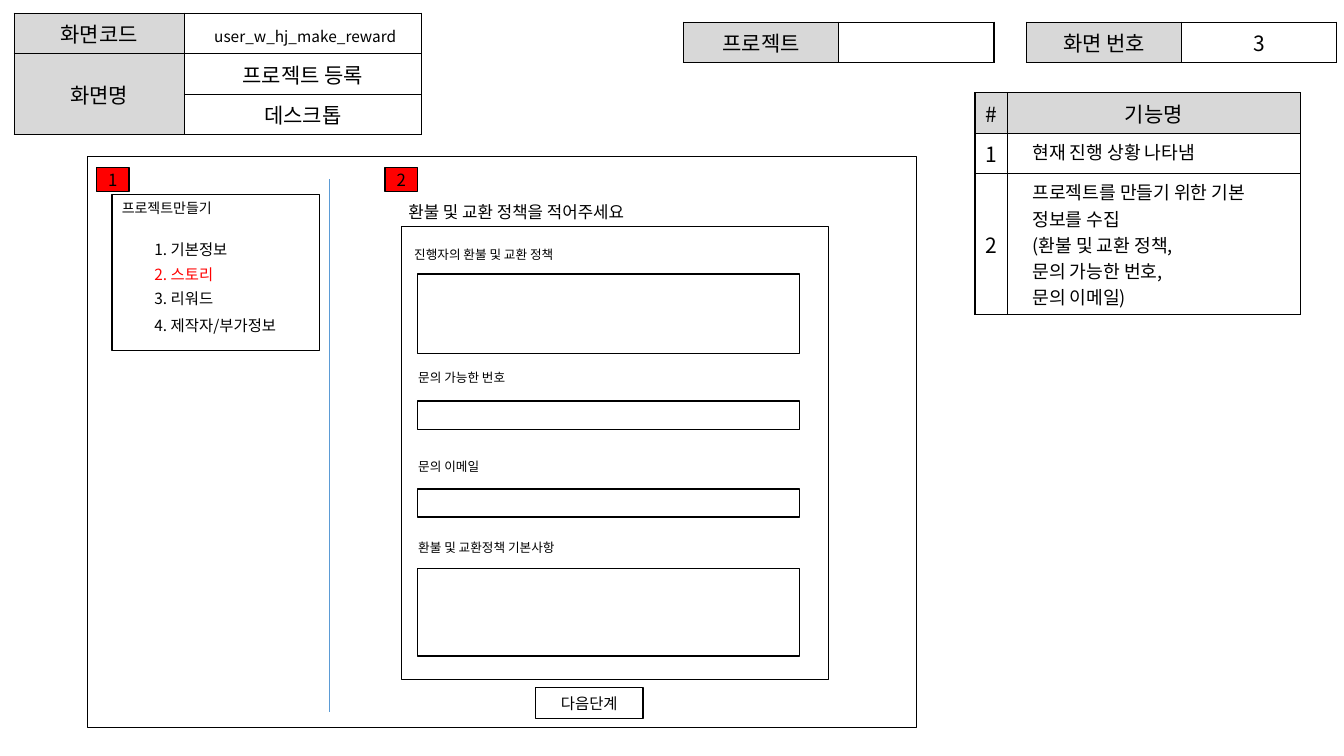
"""Build the reward policy screen plan slide."""
from typing import NamedTuple, Optional

from lxml import etree
from pptx import Presentation
from pptx import util as u
from pptx.dml.color import RGBColor
from pptx.enum import shapes, text
from pptx.oxml import ns

BLACK = RGBColor(0x00, 0x00, 0x00)
WHITE = RGBColor(0xFF, 0xFF, 0xFF)
GRAY = RGBColor(0xD8, 0xD8, 0xD8)
RED = RGBColor(0xFF, 0x00, 0x00)
BLUE = RGBColor(0x5B, 0x9B, 0xD5)
FONT = "Noto Sans CJK KR"
LEFT, MID = text.PP_ALIGN.LEFT, text.PP_ALIGN.CENTER
TOP, CENTER = text.MSO_ANCHOR.TOP, text.MSO_ANCHOR.MIDDLE


class Area(NamedTuple):
    left: float
    top: float
    width: float
    height: float


class Box(NamedTuple):
    area: Area
    label: str = ""
    size: float = 12
    fill: Optional[RGBColor] = None


class Label(NamedTuple):
    area: Area
    label: str
    size: float = 9


class Cell(NamedTuple):
    label: str
    head: bool = False
    size: float = 15
    left: bool = False
    lead: str = ""


class Grid(NamedTuple):
    area: Area
    cols: list[float]
    rows: list[float]
    cells: list[list[Cell]]


class Step(NamedTuple):
    label: str
    gap: float = 0
    color: RGBColor = BLACK


BOXES = [
    Box(Area(1.11, 1.93, 2.06, 1.55)),
    Box(Area(0.96, 1.66, 0.32, 0.24), "1", fill=RED),
    Box(Area(0.87, 1.55, 8.22, 5.67)),
    Box(Area(3.98, 2.25, 4.24, 4.49)),
    Box(Area(3.82, 1.66, 0.32, 0.24), "2", fill=RED),
    Box(Area(5.31, 6.82, 1.07, 0.31), "다음단계", 11),
] + [Box(Area(4.14, top, 3.79, high)) for top, high in
     [(2.72, 0.79), (3.98, 0.28), (4.85, 0.28), (5.64, 0.87)]]

LABELS = [
    Label(Area(1.11, 1.93, 1.45, 0.27), "프로젝트만들기", 10),
    Label(Area(4.01, 2.4, 3.3, 0.25), "진행자의 환불 및 교환 정책"),
] + [Label(Area(4.05, top, 3.3, 0.25), label) for top, label in
     [(3.62, "문의 가능한 번호"), (4.5, "문의 이메일"), (5.31, "환불 및 교환정책 기본사항")]]

STEPS = [
    Step("1. 기본정보"),
    Step("2. 스토리", 5, RED),
    Step("3. 리워드", 3.5),
    Step("4. 제작자/부가정보", 6.5),
]

NEEDS = "프로젝트를 만들기 위한 기본 정보를 수집\n(환불 및 교환 정책,\n문의 가능한 번호,\n문의 이메일)"
GRIDS = [
    Grid(Area(10.18, 0.22, 3.08, 0.35), [1.54, 1.54], [0.29],
         [[Cell("화면 번호", True), Cell("3")]]),
    Grid(Area(6.78, 0.22, 3.08, 0.35), [1.54, 1.54], [0.29],
         [[Cell("프로젝트", True), Cell("")]]),
    Grid(Area(9.67, 0.92, 3.23, 1.89), [0.32, 2.91], [0.31, 0.36, 0.9],
         [[Cell("#", True), Cell("기능명", True)],
          [Cell("1"), Cell("현재 진행 상황 나타냄", size=13, left=True)],
          [Cell("2"), Cell(NEEDS, size=13, left=True)]]),
    Grid(Area(0.14, 0.13, 4.04, 1.05), [1.69, 2.35], [0.3, 0.3, 0.3],
         [[Cell("화면코드", True), Cell("user_w_hj_make_reward", size=11, lead=" ")],
          [Cell("화면명", True), Cell("프로젝트 등록")],
          [Cell("", True), Cell("데스크톱")]]),
]


def place(area: Area) -> list[int]:
    return [u.Inches(part) for part in area]


def write(para, label: str, *, size: float = 12, color: RGBColor = BLACK,
          align=LEFT, gap: float = 0, indent: float = 0) -> None:
    para.alignment = align
    para.space_before = u.Pt(gap)
    props = para._p.get_or_add_pPr()
    props.set("marL", str(u.Inches(indent)))
    props.set("indent", "0")
    if props.find(ns.qn("a:buNone")) is None:
        etree.SubElement(props, ns.qn("a:buNone"))
    run = para.add_run()
    run.text = label
    run.font.size = u.Pt(size)
    run.font.bold = False
    run.font.color.rgb = color
    run.font.name = FONT
    etree.SubElement(run._r.get_or_add_rPr(), ns.qn("a:ea"), typeface=FONT)


def setup(frame, anchor=TOP) -> None:
    frame.word_wrap = True
    frame.auto_size = text.MSO_AUTO_SIZE.NONE
    frame.vertical_anchor = anchor


def seat(holder, area: Area):
    holder.left, holder.top, holder.width, holder.height = place(area)
    setup(holder.text_frame)
    return holder.text_frame


def edge(cell) -> None:
    props = cell._tc.get_or_add_tcPr()
    for side in ("lnL", "lnR", "lnT", "lnB"):
        line = etree.SubElement(props, ns.qn(f"a:{side}"), w=str(u.Pt(1)))
        fill = etree.SubElement(line, ns.qn("a:solidFill"))
        etree.SubElement(fill, ns.qn("a:srgbClr"), val=str(BLACK))


def draw_grid(slide, grid: Grid) -> None:
    table = slide.shapes.add_table(len(grid.rows), len(grid.cols), *place(grid.area)).table
    table.first_row = table.horz_banding = False
    for col, width in zip(table.columns, grid.cols):
        col.width = u.Inches(width)
    for row, high, items in zip(table.rows, grid.rows, grid.cells):
        row.height = u.Inches(high)
        for cell, item in zip(row.cells, items):
            edge(cell)
            cell.fill.solid()
            cell.fill.fore_color.rgb = GRAY if item.head else WHITE
            cell.vertical_anchor = TOP if item.left else CENTER
            align, indent = (LEFT, 0.15) if item.left else (MID, 0)
            frame = cell.text_frame
            if item.lead:
                write(frame.paragraphs[0], item.lead, size=15, align=align)
            for rank, label in enumerate(item.label.split("\n")):
                para = frame.add_paragraph() if rank else frame.paragraphs[0]
                write(para, label, size=item.size, align=align, indent=indent)
    if not grid.cells[-1][0].label:
        last = len(grid.rows) - 1
        table.cell(last - 1, 0).merge(table.cell(last, 0))


def draw_box(slide, box: Box) -> None:
    shape = slide.shapes.add_shape(shapes.MSO_SHAPE.RECTANGLE, *place(box.area))
    shape.shadow.inherit = False
    shape.line.color.rgb = BLACK
    shape.line.width = u.Pt(1)
    if box.fill is None:
        shape.fill.background()
    else:
        shape.fill.solid()
        shape.fill.fore_color.rgb = box.fill
    if box.label:
        setup(shape.text_frame, CENTER)
        write(shape.text_frame.paragraphs[0], box.label, size=box.size, align=MID)


def draw_rule(slide) -> None:
    ends = [u.Inches(part) for part in (3.27, 1.78, 3.27, 7.06)]
    rule = slide.shapes.add_connector(shapes.MSO_CONNECTOR.STRAIGHT, *ends)
    rule.line.color.rgb = BLUE
    rule.line.width = u.Pt(0.5)
    etree.SubElement(rule._element.spPr, ns.qn("a:effectLst"))


def main() -> None:
    deck = Presentation()
    deck.slide_width, deck.slide_height = u.Inches(13.33), u.Inches(7.5)
    slide = deck.slides.add_slide(deck.slide_layouts[1])
    title = seat(slide.shapes.title, Area(3.95, 1.95, 3.3, 0.45))
    write(title.paragraphs[0], "환불 및 교환 정책을 적어주세요")
    body = seat(slide.placeholders[1], Area(1.43, 2.33, 2.14, 1.16))
    for rank, step in enumerate(STEPS):
        para = body.add_paragraph() if rank else body.paragraphs[0]
        write(para, step.label, size=11, color=step.color, gap=step.gap)
    draw_rule(slide)
    for box in BOXES:
        draw_box(slide, box)
    for item in LABELS:
        frame = slide.shapes.add_textbox(*place(item.area)).text_frame
        setup(frame)
        write(frame.paragraphs[0], item.label, size=item.size)
    for grid in GRIDS:
        draw_grid(slide, grid)
    deck.save("out.pptx")


if __name__ == "__main__":
    main()
